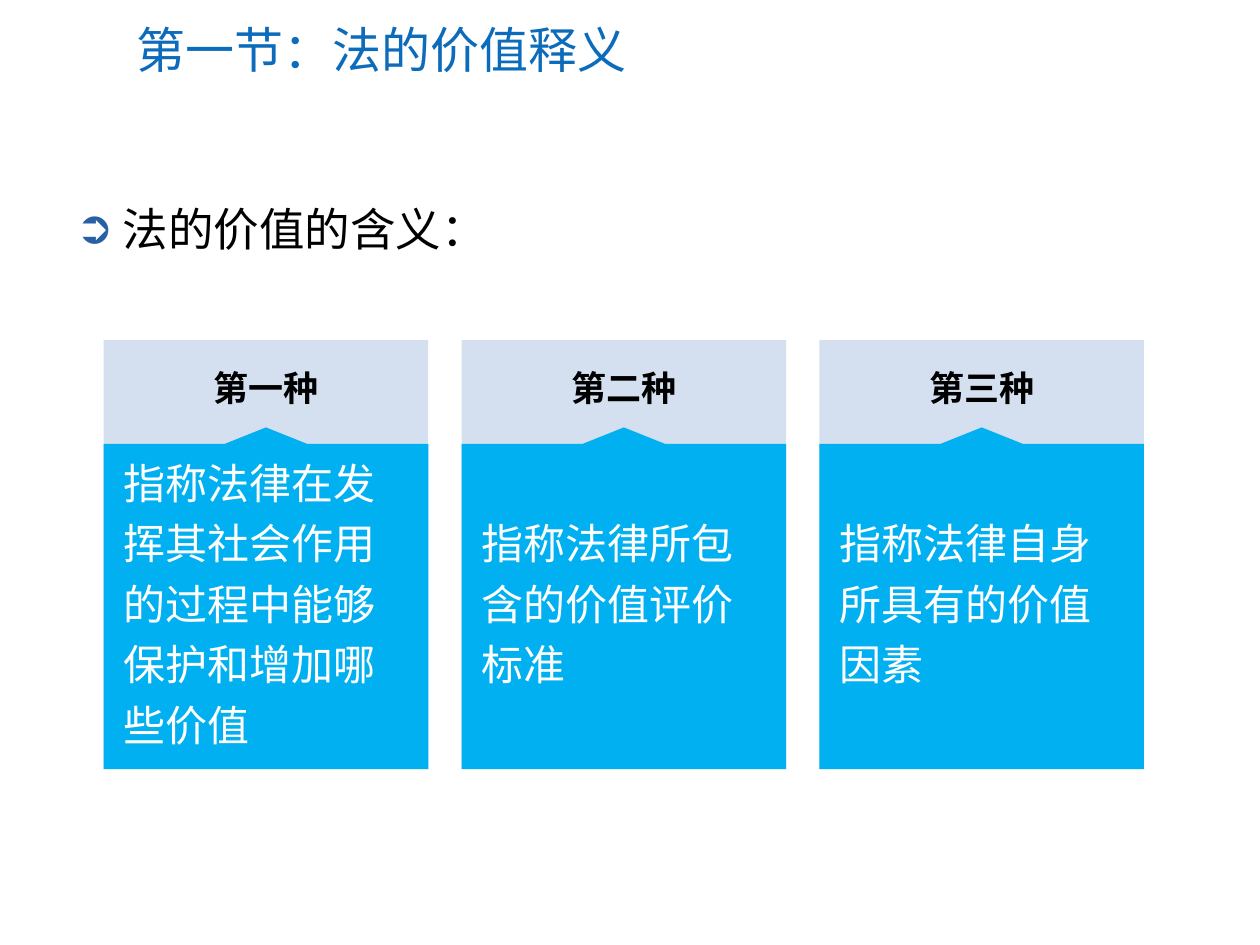
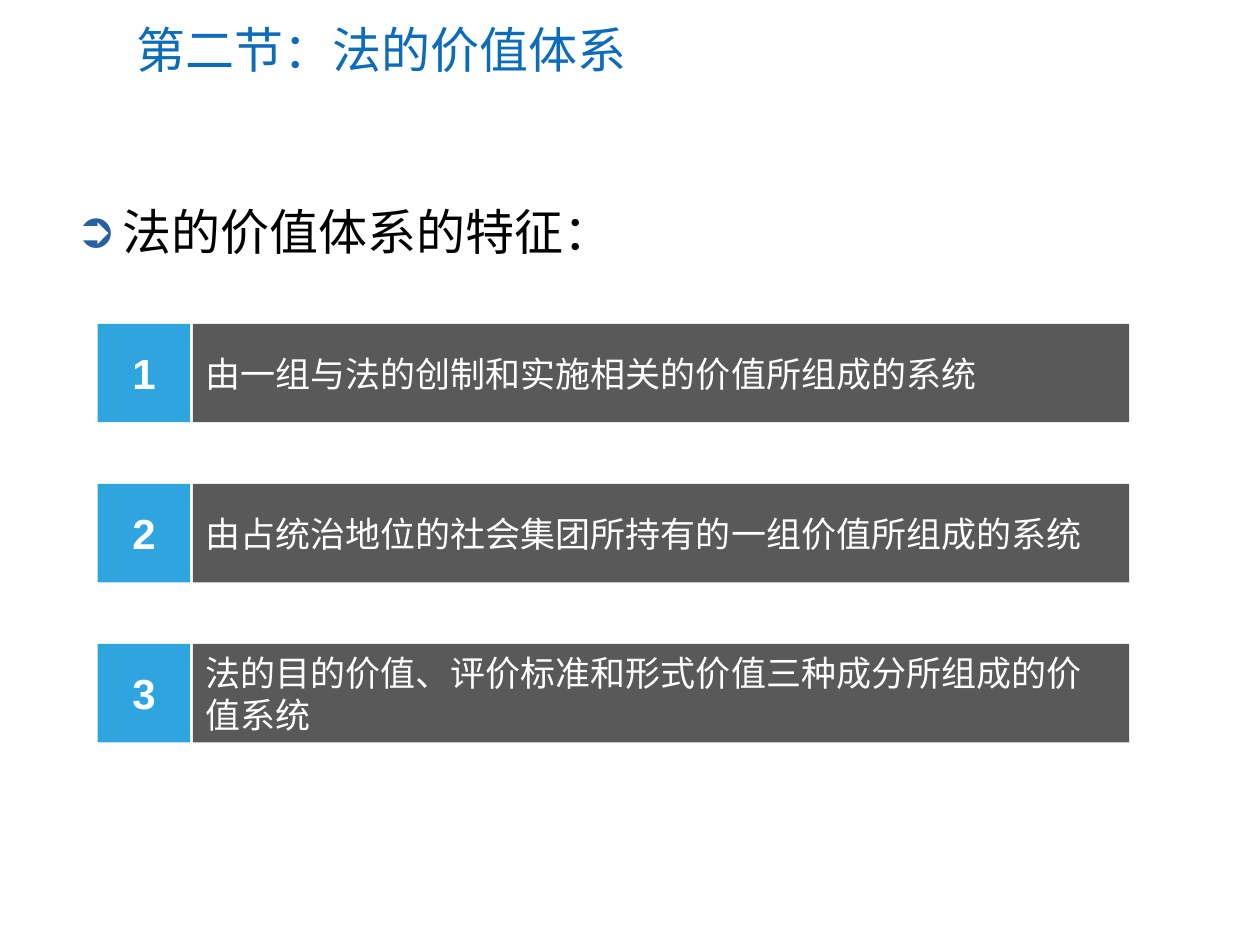
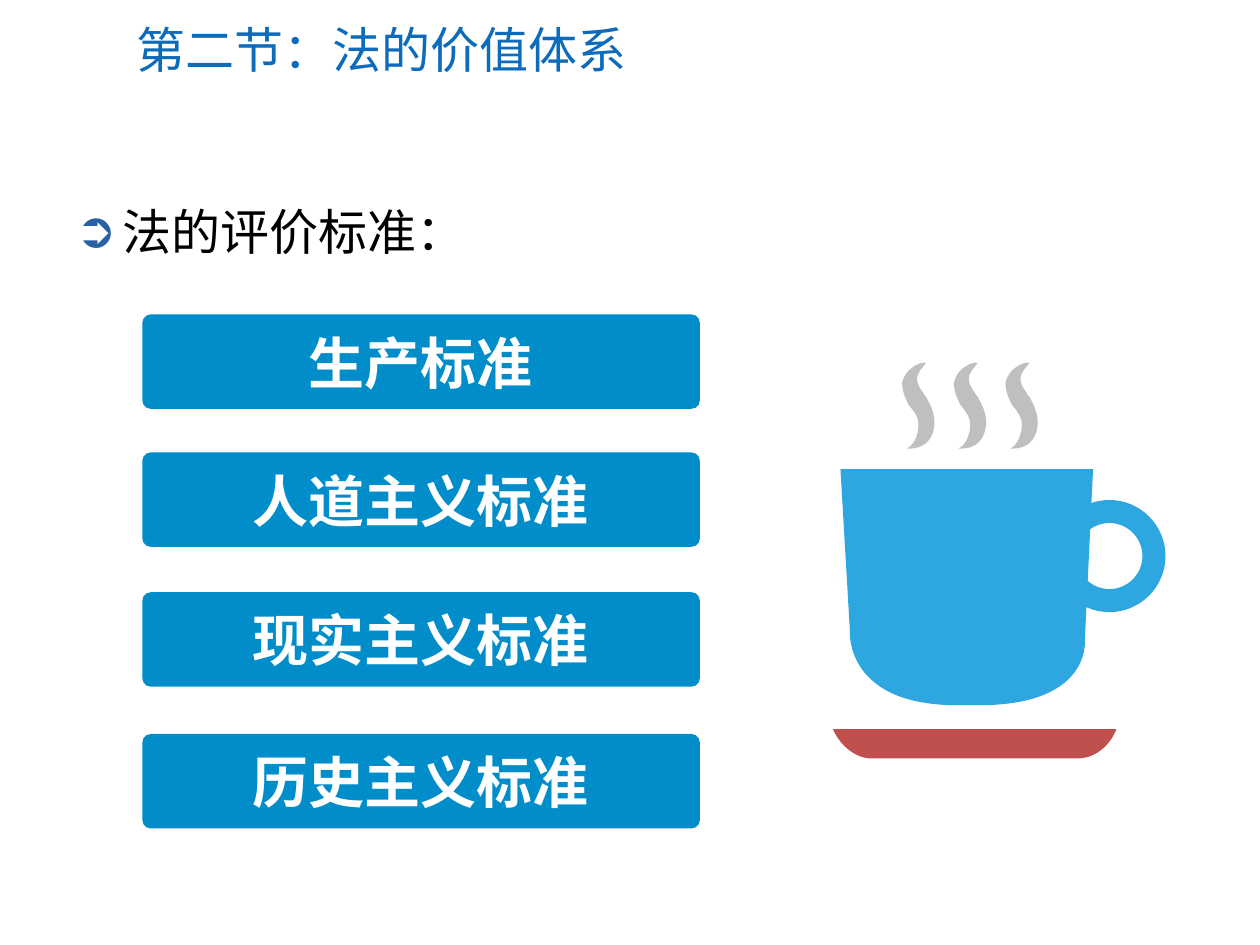
from lxml.etree import SubElement
from pptx import Presentation
from pptx.dml.color import RGBColor
from pptx.enum.shapes import MSO_SHAPE
from pptx.enum.text import MSO_ANCHOR, MSO_AUTO_SIZE, PP_ALIGN
from pptx.oxml.ns import qn
from pptx.util import Inches, Pt

COLORS = {
    "title": "0C6BBA", "bullet": "2860A4", "text": "000000", "white": "FFFFFF",
    "panel": "95B3D7", "callout": "00B0F0", "number": "2EA5DF", "bar": "595959",
    "button": "008DCA", "steam": "BFBFBF", "saucer": "C0504D", "cup": "2EA7E0",
}
LATIN, CJK, DIGITS = "Calibri", "Noto Sans CJK SC", "Arial"

# The slide is a grid of 100 columns by 75 rows.
COLUMNS, ROWS = 100, 75
WIDTH, HEIGHT = Inches(10), Inches(7.5)

# Outlines: a start point, then lines (one point) or curves (three points).
STEAM = [
    [(73.4, 31.4)],
    [(73.2, 31), (72.8, 30.6), (72.8, 30.2)],
    [(72.7, 29.6), (73.3, 29.1), (73.5, 28.8)],
    [(73.3, 28.7), (72.8, 28.9), (72.5, 29.1)],
    [(72, 29.4), (71.7, 29.9), (71.6, 30.4)],
    [(71.6, 31), (71.8, 31.5), (72.1, 32.1)],
    [(72.4, 32.5), (72.9, 33), (72.9, 33.7)],
    [(72.9, 34.7), (72.4, 35.4), (72, 35.6)],
    [(72.1, 35.6), (73.7, 35.8), (74.1, 34.1)],
    [(74.3, 33.2), (74, 32.4), (73.6, 31.7)],
    [(73.5, 31.5), (73.5, 31.4), (73.4, 31.4)],
]
SAUCER = [
    [(66.1, 57.87)],
    [(66.7, 59.2), (67.9, 60.2), (69.2, 60.2)],
    [(85.5, 60.2)],
    [(86.9, 60.2), (88.1, 59.2), (88.6, 57.87)],
    [(66.1, 57.87)],
]
CUP = [
    [(66.7, 37.23)],
    [(67.45, 50)],
    [(67.45, 50), (66.9, 56.2), (76.5, 55.97)],
    [(77.1, 55.97)],
    [(86.7, 56.2), (86.1, 50.8), (86.1, 50.8)],
    [(86.75, 37.23)],
    [(66.7, 37.23)],
]


def col(n):
    """Length of n grid columns."""
    return int(WIDTH * n / COLUMNS)


def row(n):
    """Length of n grid rows."""
    return int(HEIGHT * n / ROWS)


def place(sp, x, y, w, h):
    """Move and size a shape on the grid."""
    sp.left, sp.top, sp.width, sp.height = col(x), row(y), col(w), row(h)


def paint(sp, color, alpha=None):
    """Give a shape a flat fill, without line or shadow."""
    sp.shadow.inherit = False
    sp.fill.solid()
    sp.fill.fore_color.rgb = RGBColor.from_string(COLORS[color])
    sp.line.fill.background()
    if alpha is not None:
        srgb = sp.fill._xPr.find(".//" + qn("a:srgbClr"))
        SubElement(srgb, qn("a:alpha")).set("val", str(alpha * 1000))


def space_before(p, percent):
    """Set the space above a paragraph as a share of its line."""
    p.space_before = Pt(0)
    spacing = p._p.pPr.find(qn("a:spcBef"))
    spacing.remove(spacing[0])
    SubElement(spacing, qn("a:spcPct")).set("val", str(percent * 1000))


def write(sp, text, size, color, font=LATIN, bold=False, align=PP_ALIGN.LEFT):
    """Write one run into a shape's first paragraph and return the paragraph."""
    tf = sp.text_frame
    tf.word_wrap = True
    p = tf.paragraphs[0]
    p.alignment = align
    r = p.add_run()
    r.text = text
    r.font.size, r.font.bold, r.font.name = Pt(size), bold, font
    r.font.color.rgb = RGBColor.from_string(COLORS[color])
    SubElement(r._r.rPr, qn("a:ea")).set("typeface", font)
    return p


def add_label(sp, text, size, color="white", **style):
    """Write vertically centred text into a shape."""
    sp.text_frame.vertical_anchor = MSO_ANCHOR.MIDDLE
    p = write(sp, text, size, color, **style)
    space_before(p, 20)
    return p


def add_block(shapes, kind, x, y, w, h, color, alpha=None):
    """Add a painted preset shape."""
    sp = shapes.add_shape(kind, col(x), row(y), col(w), row(h))
    paint(sp, color, alpha)
    return sp


def circle(cx, cy, radius, turn=1):
    """Outline of a circle in four curves; turn -1 runs the other way round."""
    k = 0.55 * radius
    outline = [[(cx, cy - radius)]]
    ux, uy = 0, -1
    for _ in range(4):
        vx, vy = -uy * turn, ux * turn
        outline.append([
            (cx + radius * ux + k * vx, cy + radius * uy + k * vy),
            (cx + radius * vx + k * ux, cy + radius * vy + k * uy),
            (cx + radius * vx, cy + radius * vy),
        ])
        ux, uy = vx, vy
    return outline


def add_outline(shapes, color, *contours, dx=0):
    """Add a painted shape from closed contours, shifted by dx columns."""
    contours = [[[(col(x + dx), row(y)) for x, y in segment] for segment in contour]
                for contour in contours]
    builder = shapes.build_freeform(*contours[0][0][0])
    for i, contour in enumerate(contours):
        if i:
            builder.move_to(*contour[0][0])
        builder.add_line_segments([segment[-1] for segment in contour[1:]], close=True)
    sp = builder.convert_to_shape()
    segments = [segment for contour in contours for segment in contour[1:]]
    for line, segment in zip(list(sp._element.iter(qn("a:lnTo"))), segments):
        if len(segment) == 3:
            curve = line.makeelement(qn("a:cubicBezTo"))
            line.getparent().replace(line, curve)
            for x, y in segment:
                pt = SubElement(curve, qn("a:pt"))
                pt.set("x", str(x - sp.left))
                pt.set("y", str(y - sp.top))
    paint(sp, color)
    return sp


def add_slide(prs, title, lead, lead_size=28, lead_top=15.5, lead_rows=7.3):
    """Add a slide with its title and one bulleted lead line."""
    slide = prs.slides.add_slide(prs.slide_layouts[1])
    heading, body = slide.placeholders
    place(heading, 9.85, 1, 87.2, 5.8)
    place(body, 5, lead_top, 90, lead_rows)
    for sp in (heading, body):
        sp.text_frame.auto_size = MSO_AUTO_SIZE.NONE
    write(heading, title, 28, "title")
    p = write(body, lead, lead_size, "text")
    space_before(p, 20)
    pPr = p._p.pPr
    pPr.set("marL", str(col(3.75)))
    pPr.set("indent", str(-col(3.75)))
    bullet_color = SubElement(pPr, qn("a:buClr"))
    SubElement(bullet_color, qn("a:srgbClr")).set("val", COLORS["bullet"])
    SubElement(pPr, qn("a:buChar")).set("char", "➲")
    return slide


def add_card(slide, x, header, text):
    """Add a pale header panel with a pointed callout below."""
    top, shoulder, w, h = 27, 35.22, 25.76, 34.05
    tip, middle, half = shoulder - 1.3, x + w / 2, 3.25
    shapes = slide.shapes.add_group_shape().shapes
    add_block(shapes, MSO_SHAPE.RECTANGLE, x, top, w, h, "panel", alpha=40)
    corners = [
        (middle, tip), (middle + half, shoulder), (x + w, shoulder),
        (x + w, top + h), (x, top + h), (x, shoulder), (middle - half, shoulder),
    ]
    callout = add_outline(shapes, "callout", [[corner] for corner in corners])
    tf = callout.text_frame
    tf.margin_left = tf.margin_right = col(1.6)
    add_label(callout, text, 24).line_spacing = 1.2
    box = shapes.add_textbox(col(x), row(28.6), col(w), row(4.4))
    p = write(box, header, 20, "text", font=CJK, bold=True, align=PP_ALIGN.CENTER)
    space_before(p, 20)


def add_numbered_bar(slide, y, number, text):
    """Add a number square followed by a dark text bar."""
    shapes = slide.shapes.add_group_shape().shapes
    square = add_block(shapes, MSO_SHAPE.RECTANGLE, 7.75, y, 7.35, 7.82, "number")
    add_label(square, str(number), 24, font=DIGITS, bold=True, align=PP_ALIGN.CENTER)
    bar = add_block(shapes, MSO_SHAPE.RECTANGLE, 15.3, y, 74.32, 7.82, "bar")
    add_label(bar, text, 20)


def add_button(slide, y, text):
    """Add a rounded button with a bold caption."""
    sp = add_block(slide.shapes, MSO_SHAPE.ROUNDED_RECTANGLE, 11.3, y, 44.25, 7.5, "button")
    sp.adjustments[0] = 0.09
    add_label(sp, text, 32, bold=True, align=PP_ALIGN.CENTER)


def add_cup(slide):
    """Draw a steaming cup on a saucer."""
    shapes = slide.shapes.add_group_shape().shapes
    for i in range(3):
        add_outline(shapes, "steam", STEAM, dx=4.1 * i)
    add_outline(shapes, "saucer", SAUCER)
    add_outline(shapes, "cup", CUP)
    center = (88.05, 44.13)
    add_outline(shapes, "cup", circle(*center, 4.45, turn=-1), circle(*center, 2.62))


def main():
    """Build the three slides and save them."""
    prs = Presentation()
    prs.slide_width, prs.slide_height = WIDTH, HEIGHT

    slide = add_slide(prs, "第一节：法的价值释义", "法的价值的含义：", 26, 15.45, 5.9)
    cards = [
        ("第一种", "指称法律在发挥其社会作用的过程中能够保护和增加哪些价值"),
        ("第二种", "指称法律所包含的价值评价标准"),
        ("第三种", "指称法律自身所具有的价值因素"),
    ]
    for i, (header, text) in enumerate(cards):
        add_card(slide, 8.23 + 28.4 * i, header, text)

    slide = add_slide(prs, "第二节：法的价值体系", "法的价值体系的特征：")
    features = [
        "由一组与法的创制和实施相关的价值所组成的系统",
        "由占统治地位的社会集团所持有的一组价值所组成的系统",
        "法的目的价值、评价标准和形式价值三种成分所组成的价值系统",
    ]
    for i, text in enumerate(features):
        add_numbered_bar(slide, 25.7 + 12.7 * i, i + 1, text)

    slide = add_slide(prs, "第二节：法的价值体系", "法的评价标准：")
    add_cup(slide)
    standards = [
        (24.95, "生产标准"), (35.9, "人道主义标准"),
        (47, "现实主义标准"), (58.25, "历史主义标准"),
    ]
    for y, text in standards:
        add_button(slide, y, text)

    prs.save("out.pptx")


main()
